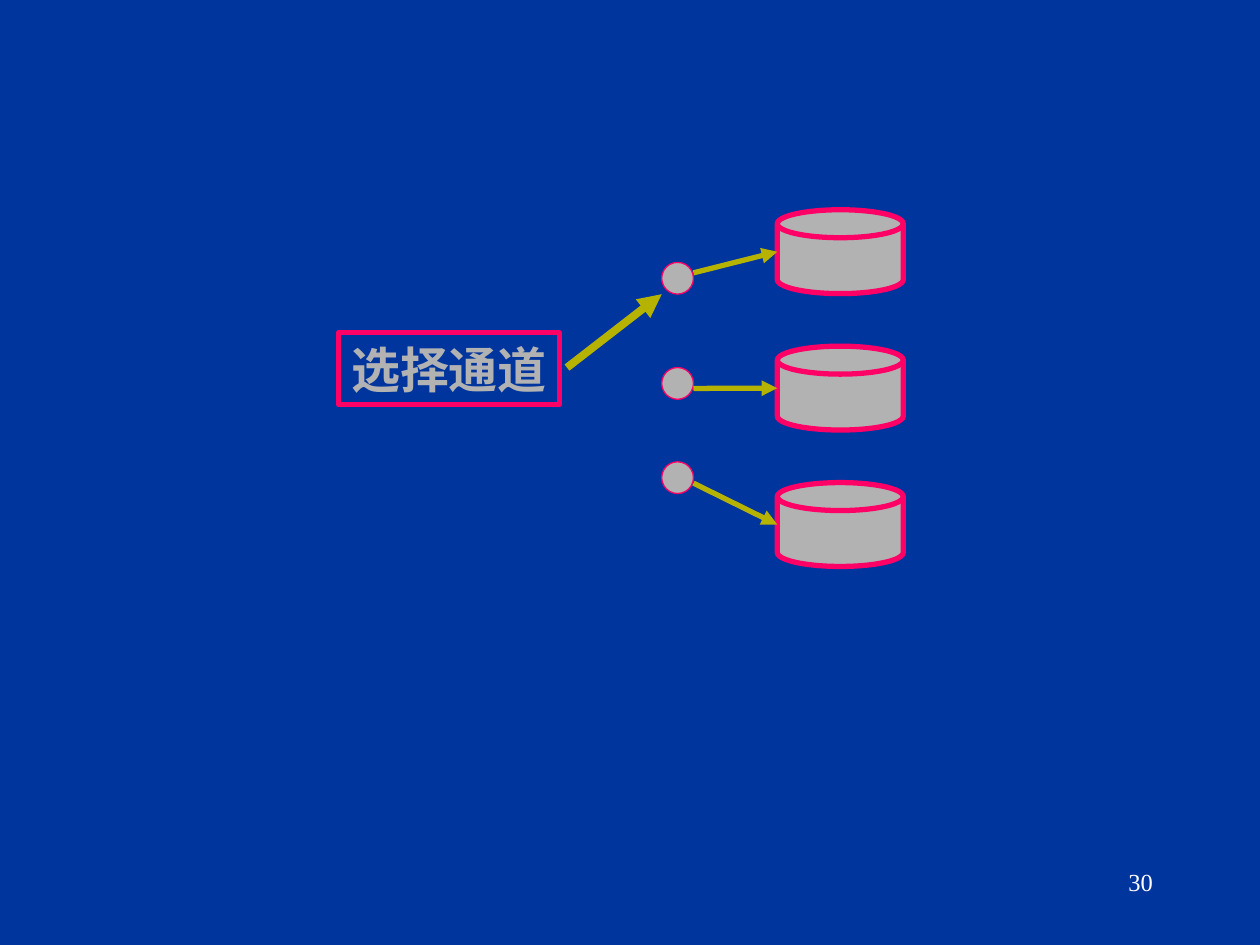
from lxml.etree import SubElement
from pptx import Presentation
from pptx.dml.color import RGBColor
from pptx.enum.shapes import MSO_CONNECTOR, MSO_SHAPE
from pptx.enum.text import MSO_ANCHOR, MSO_AUTO_SIZE, PP_ALIGN
from pptx.oxml.ns import qn
from pptx.util import Cm, Pt

# Content
LABEL = "选择通道"
PAGE_NUMBER = "30"
FONT = "Times New Roman"
COLOURS = {"back": "00359E", "grey": "B2B2B2", "pink": "FF0066",
           "olive": "B6B200", "white": "FFFFFF"}

# Layout in centimetres: each channel is (port top, arrow start height)
CHANNELS = [(5.29, 5.5), (7.41, 7.83), (9.31, 9.74)]
PORT_LEFT, PORT_SIZE = 13.34, 0.64
DISK_LEFT, DISK_TOP, DISK_PITCH = 15.67, 4.23, 2.75
DISK_WIDTH, DISK_HEIGHT = 2.54, 1.69
SELECTOR_START, SELECTOR_END = (11.43, 7.41), (13.34, 5.93)


def colour(name):
    return RGBColor.from_string(COLOURS[name])


def add_box(page, kind, left, top, width, height, line_width, fill=None):
    box = page.shapes.add_shape(kind, Cm(left), Cm(top), Cm(width), Cm(height))
    box.shadow.inherit = False
    if fill:
        box.fill.solid()
        box.fill.fore_color.rgb = colour(fill)
    else:
        box.fill.background()
    box.line.color.rgb = colour("pink")
    box.line.width = Pt(line_width)
    return box


def add_arrow(page, start, end, width):
    ends = [Cm(value) for value in (*start, *end)]
    arrow = page.shapes.add_connector(MSO_CONNECTOR.STRAIGHT, *ends)
    arrow.line.color.rgb = colour("olive")
    arrow.line.width = Pt(width)
    SubElement(arrow.line._get_or_add_ln(), qn("a:tailEnd"), type="triangle")
    SubElement(arrow._element.spPr, qn("a:effectLst"))


def write(box, text, size, name, align, bold=False):
    frame = box.text_frame
    frame.vertical_anchor = MSO_ANCHOR.TOP
    paragraph = frame.paragraphs[0]
    paragraph.text = text
    paragraph.alignment = align
    font = paragraph.font
    font.name, font.size, font.bold = FONT, Pt(size), bold
    font.color.rgb = colour(name)


def main():
    deck = Presentation()
    deck.slide_width, deck.slide_height = Cm(25.4), Cm(19.05)
    page = deck.slides.add_slide(deck.slide_layouts[6])
    page.background.fill.solid()
    page.background.fill.fore_color.rgb = colour("back")

    # Channels: port, arrow and disk
    for index, (port_top, arrow_top) in enumerate(CHANNELS):
        disk_top = DISK_TOP + index * DISK_PITCH
        add_box(page, MSO_SHAPE.FLOWCHART_MAGNETIC_DISK, DISK_LEFT, disk_top,
                DISK_WIDTH, DISK_HEIGHT, 3, "grey")
        add_box(page, MSO_SHAPE.FLOWCHART_CONNECTOR, PORT_LEFT, port_top,
                PORT_SIZE, PORT_SIZE, 0.75, "grey")
        add_arrow(page, (PORT_LEFT + PORT_SIZE, arrow_top),
                  (DISK_LEFT, disk_top + DISK_HEIGHT / 2), 3)

    # Selector
    selector = add_box(page, MSO_SHAPE.RECTANGLE, 6.83, 6.71, 4.45, 1.45, 3)
    write(selector, LABEL, 28, "grey", PP_ALIGN.LEFT, bold=True)
    selector.text_frame.word_wrap = False
    selector.text_frame.auto_size = MSO_AUTO_SIZE.SHAPE_TO_FIT_TEXT
    add_arrow(page, SELECTOR_START, SELECTOR_END, 4.5)

    # Page number
    number = page.shapes.add_textbox(Cm(18.21), Cm(17.35), Cm(5.28), Cm(1.27))
    number.text_frame.word_wrap = True
    write(number, PAGE_NUMBER, 14, "white", PP_ALIGN.RIGHT)

    deck.save("out.pptx")


if __name__ == "__main__":
    main()
